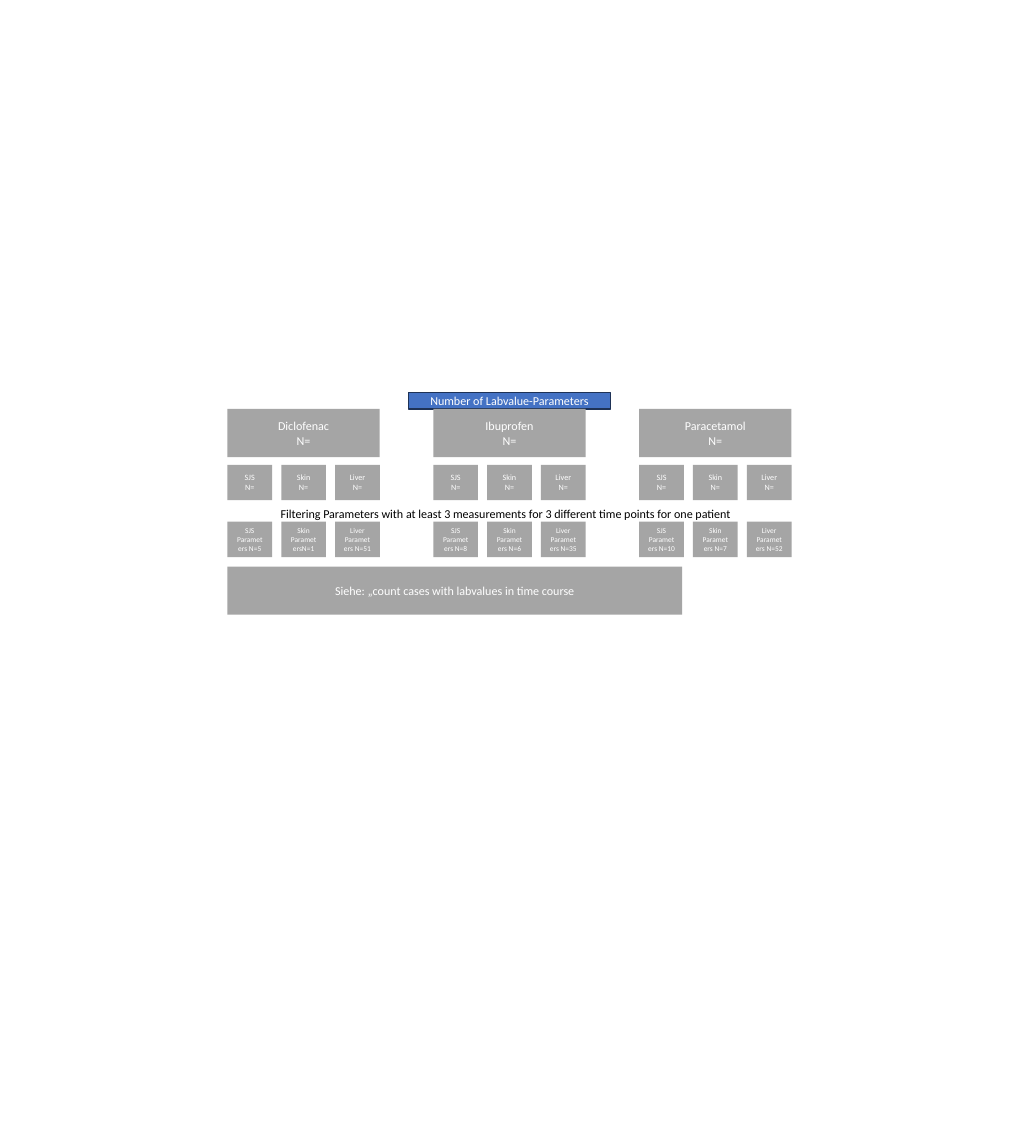
from pptx import Presentation
from pptx.dml.color import RGBColor
from pptx.enum import shapes, text
from pptx.util import Pt

# Content
HEADING = "Number of Labvalue-Parameters"
DRUGS = {
    "Diclofenac": {"SJS": "Parameters N=5", "Skin": "ParametersN=1", "Liver": "Parameters N=51"},
    "Ibuprofen": {"SJS": "Parameters N=8", "Skin": "Parameters N=6", "Liver": "Parameters N=35"},
    "Paracetamol": {"SJS": "Parameters N=10", "Skin": "Parameters N=7", "Liver": "Parameters N=52"},
}
COUNT = "N="
FILTER_RULE = "Filtering Parameters with at least 3 measurements for 3 different time points for one patient"
REFERENCE = "Siehe: „count cases with labvalues in time course"

# Colours and format values
BLUE = RGBColor(0x44, 0x72, 0xC4)
NAVY = RGBColor(0x1E, 0x32, 0x56)
GREY = RGBColor(0xA5, 0xA5, 0xA5)
WHITE = RGBColor(0xFF, 0xFF, 0xFF)
BLACK = RGBColor(0, 0, 0)
FRAME = {"word_wrap": True, "auto_size": text.MSO_AUTO_SIZE.NONE,
         "vertical_anchor": text.MSO_ANCHOR.MIDDLE,
         "margin_left": Pt(7.2), "margin_right": Pt(7.2),
         "margin_top": Pt(3.6), "margin_bottom": Pt(3.6)}
NOTE_FRAME = FRAME | {"auto_size": text.MSO_AUTO_SIZE.SHAPE_TO_FIT_TEXT,
                      "vertical_anchor": text.MSO_ANCHOR.TOP}
LARGE, MEDIUM, SMALL = 10.1, 6.8, 6.2

# Layout in points
LEFT, DRUG_STEP, ORGAN_STEP = 190.1, 172.1, 45
ORGAN_W, ORGAN_H = 37.4, 29.5
DRUG_W, DRUG_H = 2 * ORGAN_STEP + ORGAN_W, 40.3
DRUG_TOP, COUNT_TOP, FILTERED_TOP, REFERENCE_TOP = 342, 388.8, 436.3, 473.8

deck = Presentation()
deck.slide_width, deck.slide_height = Pt(851.8), Pt(960)
slide = deck.slides.add_slide(deck.slide_layouts[5])


def apply(target, values):
    for name, value in values.items():
        setattr(target, name, value)


def write(box, lines, size, color=WHITE, align=text.PP_ALIGN.CENTER, frame=FRAME):
    box.text_frame.text = "\n".join(lines)
    apply(box.text_frame, frame)
    for line in box.text_frame.paragraphs:
        line.alignment = align
        apply(line.font, {"name": "Calibri", "size": Pt(size)})
        line.font.color.rgb = color


def add_box(left, top, width, height, lines, size):
    box = slide.shapes.add_shape(shapes.MSO_SHAPE.RECTANGLE,
                                 Pt(left), Pt(top), Pt(width), Pt(height))
    box.shadow.inherit = False
    box.fill.solid()
    box.fill.fore_color.rgb = GREY
    box.line.fill.background()
    write(box, lines, size)


# Heading
heading = slide.shapes.title
apply(heading, {"left": Pt(341.3), "top": Pt(328.3), "width": Pt(169.2), "height": Pt(13.7)})
heading.fill.solid()
heading.fill.fore_color.rgb = BLUE
heading.line.color.rgb = NAVY
heading.line.width = Pt(1)
write(heading, [HEADING], LARGE)

# Drugs, with organ counts before and after filtering
for column, (drug, organs) in enumerate(DRUGS.items()):
    drug_left = LEFT + column * DRUG_STEP
    add_box(drug_left, DRUG_TOP, DRUG_W, DRUG_H, [drug, COUNT], LARGE)
    for place, (organ, filtered) in enumerate(organs.items()):
        organ_left = drug_left + place * ORGAN_STEP
        add_box(organ_left, COUNT_TOP, ORGAN_W, ORGAN_H, [organ, COUNT], MEDIUM)
        add_box(organ_left, FILTERED_TOP, ORGAN_W, ORGAN_H, [organ, filtered], SMALL)

# Filter rule and reference
filter_rule = slide.shapes.add_textbox(Pt(227.5), Pt(419.8), Pt(406.8), Pt(19.4))
write(filter_rule, [FILTER_RULE], LARGE, BLACK, text.PP_ALIGN.LEFT, NOTE_FRAME)
add_box(LEFT, REFERENCE_TOP, 380.2, DRUG_H, [REFERENCE], LARGE)

deck.save("out.pptx")
